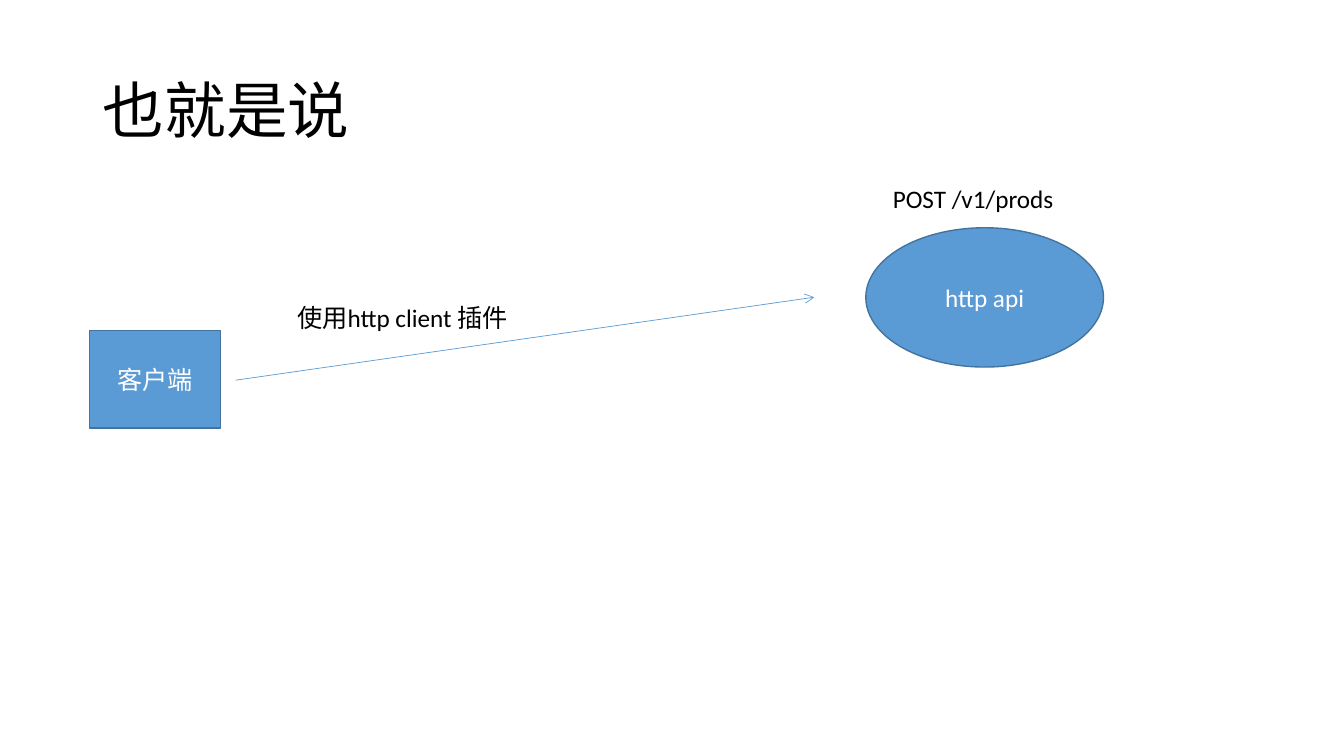
import dataclasses
import lxml.etree
import pptx
import pptx.util
import pptx.dml.color
import pptx.enum.shapes
import pptx.enum.text
import pptx.oxml.ns

Cm = pptx.util.Cm
SHAPE = pptx.enum.shapes.MSO_SHAPE
ALIGN = pptx.enum.text.PP_ALIGN
ANCHOR = pptx.enum.text.MSO_ANCHOR


@dataclasses.dataclass(frozen=True)
class Theme:
    font: str = "Calibri"
    ink: str = "000000"
    light: str = "FFFFFF"
    fill: str = "5B9BD5"
    outline: str = "43739E"
    title_size: int = 44
    body_size: int = 18


THEME = Theme()


def rgb(value):
    return pptx.dml.color.RGBColor.from_string(value)


def write(tf, text, size=THEME.body_size, color=THEME.ink, align=ALIGN.LEFT,
          anchor=ANCHOR.TOP, spacing=1.0):
    tf.word_wrap = True
    tf.auto_size = pptx.enum.text.MSO_AUTO_SIZE.NONE
    tf.vertical_anchor = anchor
    p = tf.paragraphs[0]
    p.alignment = align
    p.line_spacing = spacing
    r = p.add_run()
    r.text = text
    r.font.name = THEME.font
    r.font.size = pptx.util.Pt(size)
    r.font.color.rgb = rgb(color)


def add_title(s, box, text):
    sp = s.shapes.title
    sp.left, sp.top, sp.width, sp.height = map(Cm, box)
    write(sp.text_frame, text, size=THEME.title_size, anchor=ANCHOR.MIDDLE, spacing=0.9)


def add_label(s, box, text):
    sp = s.shapes.add_textbox(*map(Cm, box))
    write(sp.text_frame, text)
    sp.text_frame.auto_size = pptx.enum.text.MSO_AUTO_SIZE.SHAPE_TO_FIT_TEXT


def add_node(s, box, kind, text):
    sp = s.shapes.add_shape(kind, *map(Cm, box))
    sp.shadow.inherit = False
    sp.fill.solid()
    sp.fill.fore_color.rgb = rgb(THEME.fill)
    sp.line.color.rgb = rgb(THEME.outline)
    sp.line.width = pptx.util.Pt(1)
    write(sp.text_frame, text, color=THEME.light, align=ALIGN.CENTER, anchor=ANCHOR.MIDDLE)


def add_api(s, box):
    x, y, w, h = box
    label_height = 1.02
    node_top = 1.24
    add_node(s, (x, y + node_top, w, h - node_top), SHAPE.OVAL, "http api")
    add_label(s, (x + 0.43, y, w - 0.4, label_height), "POST /v1/prods")


def add_client(s, box):
    add_node(s, box, SHAPE.RECTANGLE, "客户端")


def add_request(s, box):
    x, y, w, h = box
    line = s.shapes.add_connector(pptx.enum.shapes.MSO_CONNECTOR.STRAIGHT,
                                  Cm(x), Cm(y + h), Cm(x + w), Cm(y))
    line.line.color.rgb = rgb(THEME.fill)
    line.line.width = pptx.util.Pt(0.5)
    qn = pptx.oxml.ns.qn
    lxml.etree.SubElement(line.line._get_or_add_ln(), qn("a:tailEnd"), type="arrow")
    lxml.etree.SubElement(line._element.spPr, qn("a:effectLst"))
    add_label(s, (x + 1.3, y, 8.08, 1.02), "使用http client 插件")


def build_slide(prs):
    s = prs.slides.add_slide(prs.slide_layouts.get_by_name("Title Only"))
    add_title(s, (2.34, 1.02, 29.21, 3.68), "也就是说")
    add_api(s, (21.82, 4.5, 5.99, 4.75))
    add_client(s, (2.26, 8.33, 3.3, 2.46))
    add_request(s, (5.94, 7.49, 14.58, 2.09))


prs = pptx.Presentation()
prs.slide_width = Cm(33.87)
prs.slide_height = Cm(19.05)
build_slide(prs)
prs.save("out.pptx")
